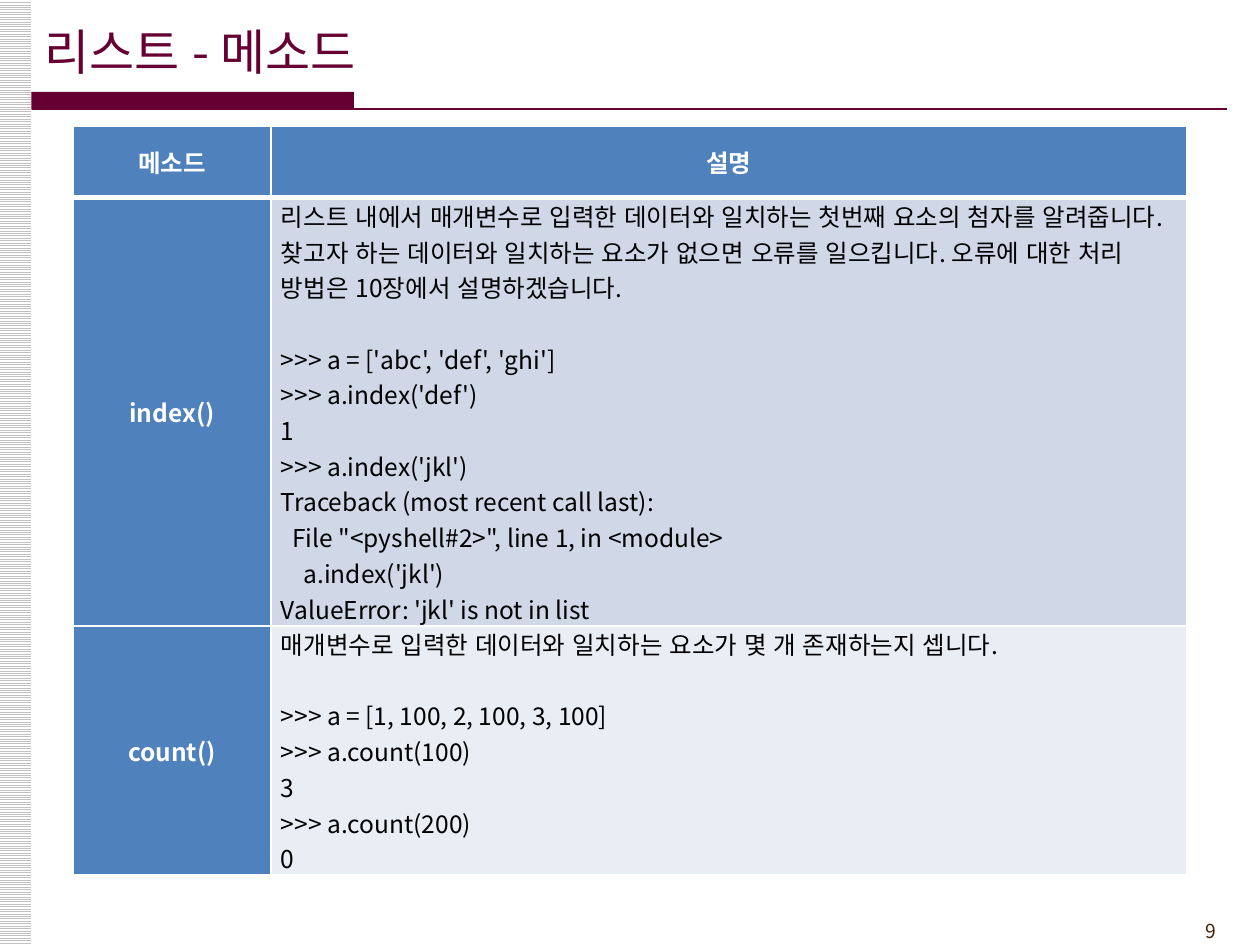
from pptx import Presentation
from pptx import util as u
from pptx.dml.color import RGBColor
from pptx.enum import dml, lang, shapes, text
from pptx.oxml import parse_xml
from pptx.oxml.ns import nsdecls

HUE = {"wine": "660033", "brown": "452103", "head": "4F81BD", "odd": "D0D8E8",
       "even": "E9EDF4", "white": "FFFFFF", "black": "000000", "gray": "C0C0C0"}
HUE = {name: RGBColor.from_string(code) for name, code in HUE.items()}
FONT = "Noto Sans CJK KR"
LEFT, MID = text.PP_ALIGN.LEFT, text.PP_ALIGN.CENTER

deck = Presentation()
deck.slide_width, deck.slide_height = u.Inches(10), u.Inches(7.5)
page = deck.slides.add_slide(deck.slide_layouts[5])
COL, ROW = deck.slide_width / 100, deck.slide_height / 75


def grid(x, y, w, h):
    """Turn grid columns and rows into slide lengths."""
    return [round(n * step) for n, step in zip((x, y, w, h), (COL, ROW) * 2)]


def write(para, words, size, hue, bold=False, align=LEFT):
    """Add one formatted run to a paragraph."""
    para.alignment = align
    run = para.add_run()
    run.text = words
    font = run.font
    font.size, font.bold, font.name = u.Pt(size), bold, FONT
    font.language_id = lang.MSO_LANGUAGE_ID.KOREAN
    font.color.rgb = HUE[hue]
    run._r.get_or_add_rPr().append(
        parse_xml(f'<a:ea {nsdecls("a")} typeface="{FONT}"/>'))


# Striped side band and title bar
side = page.shapes.add_shape(shapes.MSO_SHAPE.RECTANGLE, *grid(-0.1, 0, 2.6, 75))
side.fill.patterned()
side.fill.pattern = dml.MSO_PATTERN.LIGHT_HORIZONTAL
side.fill.fore_color.rgb, side.fill.back_color.rgb = HUE["gray"], HUE["white"]
bar = page.shapes.add_shape(shapes.MSO_SHAPE.RECTANGLE, *grid(2.5, 7.3, 25.6, 1.4))
bar.fill.solid()
bar.fill.fore_color.rgb = HUE["wine"]
for part in (side, bar):
    part.line.fill.background()
    part.shadow.inherit = False

# Rule under the title
rule = page.shapes.add_connector(shapes.MSO_CONNECTOR.STRAIGHT,
                                 *grid(2.5, 8.65, 97.4, 8.65))
rule.line.color.rgb, rule.line.width = HUE["wine"], u.Pt(1.5)
rule._element.spPr.append(parse_xml(f'<a:effectLst {nsdecls("a")}/>'))

# Title
title = page.shapes.title
title.left, title.top, title.width, title.height = grid(2.5, 0.9, 82.7, 6.3)
title.text_frame.vertical_anchor = text.MSO_ANCHOR.MIDDLE
write(title.text_frame.paragraphs[0], "리스트 - 메소드", 28, "wine")

# Page number
foot = page.shapes.add_textbox(*grid(89.2, 72.5, 8.3, 2.9)).text_frame
foot.word_wrap = True
write(foot.paragraphs[0], "9", 11, "brown", align=text.PP_ALIGN.RIGHT)

# Method table: name, description, code lines
HEAD = ["메소드", "설명"]
BODY = [
    ("index()",
     "리스트 내에서 매개변수로 입력한 데이터와 일치하는 첫번째 요소의 첨자를 알려줍니다. "
     "찾고자 하는 데이터와 일치하는 요소가 없으면 오류를 일으킵니다. "
     "오류에 대한 처리 방법은 10장에서 설명하겠습니다.",
     [">>> a = ['abc', 'def', 'ghi']", ">>> a.index('def')", "1",
      ">>> a.index('jkl')", "Traceback (most recent call last):",
      "\tFile \"<pyshell#2>\", line 1, in <module>", "\t\ta.index('jkl')",
      "ValueError: 'jkl' is not in list"]),
    ("count()",
     "매개변수로 입력한 데이터와 일치하는 요소가 몇 개 존재하는지 셉니다.",
     [">>> a = [1, 100, 2, 100, 3, 100]", ">>> a.count(100)", "3",
      ">>> a.count(200)", "0"]),
]
table = page.shapes.add_table(3, 2, *grid(5.8, 10, 88.4, 59.4)).table
table.first_col = True
for col, wide in zip(table.columns, (15.7, 72.7)):
    col.width = round(wide * COL)
for row, tall in zip(table.rows, (5.7, 34, 19.7)):
    row.height = round(tall * ROW)

# Cell fills, margins and white borders
for r, row in enumerate(table.rows):
    for c, cell in enumerate(row.cells):
        cell.vertical_anchor = text.MSO_ANCHOR.MIDDLE
        cell.margin_left = cell.margin_right = u.Inches(0.08)
        cell.margin_top = cell.margin_bottom = 0
        cell.fill.solid()
        tone = "head" if r == 0 or c == 0 else ("even", "odd")[r % 2]
        cell.fill.fore_color.rgb = HUE[tone]
        for n, edge in enumerate("LRTB"):
            thick = 3 if (r, edge) in ((0, "B"), (1, "T")) else 1
            cell._tc.get_or_add_tcPr().insert(n, parse_xml(
                f'<a:ln{edge} {nsdecls("a")} w="{u.Pt(thick)}"><a:solidFill>'
                f'<a:srgbClr val="{HUE["white"]}"/></a:solidFill></a:ln{edge}>'))

# Cell text
for c, name in enumerate(HEAD):
    write(table.cell(0, c).text_frame.paragraphs[0], name, 14, "white", True, MID)
for r, (name, about, code) in enumerate(BODY, 1):
    write(table.cell(r, 0).text_frame.paragraphs[0], name, 14, "white", True, MID)
    frame = table.cell(r, 1).text_frame
    write(frame.paragraphs[0], about, 14, "black")
    for n, line in enumerate(code):
        para = frame.add_paragraph()
        if n == 0:
            para.space_before = u.Pt(20.3)
        depth = line.count("\t")
        if depth:
            para._p.get_or_add_pPr().set("marL", str(u.Inches(0.09 * depth)))
        write(para, line.strip(), 14, "black")

deck.save("out.pptx")
